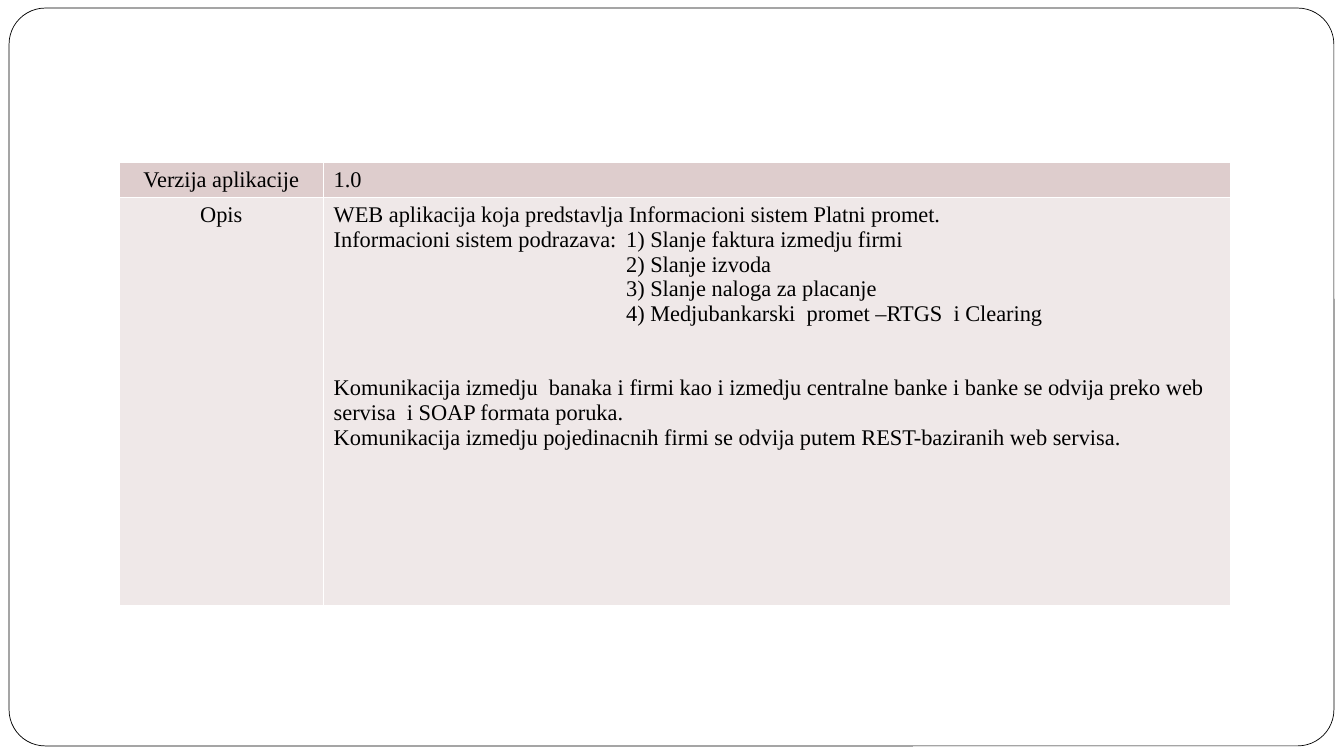
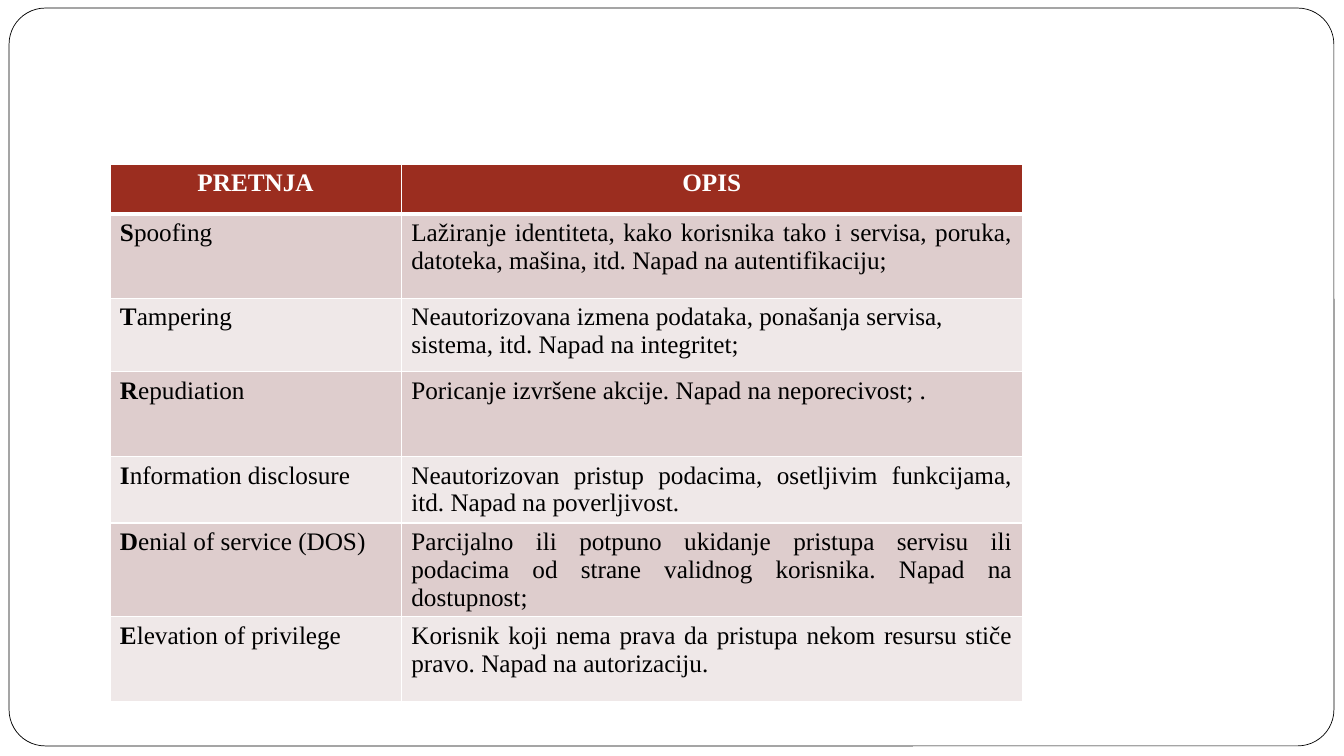
from dataclasses import dataclass, field

from lxml import etree
from pptx import Presentation, util as u
from pptx.dml.color import RGBColor
from pptx.enum import shapes, text
from pptx.oxml.ns import qn

CENTER = text.PP_ALIGN.CENTER
JUSTIFY = text.PP_ALIGN.JUSTIFY
LEFT = text.PP_ALIGN.LEFT


@dataclass(frozen=True)
class Theme:
    font: str = "Times New Roman"
    paper: str = "FFFFFF"
    ink: str = "000000"
    header: str = "9B2D1F"
    dark_band: str = "DECDCD"
    light_band: str = "EFE8E8"
    version_size: int = 16
    threat_size: int = 18
    frame_line: float = 0.5
    grid_line: float = 1
    header_line: float = 3


THEME = Theme()


@dataclass(frozen=True)
class Run:
    words: str
    bold: bool = False


@dataclass(frozen=True)
class Para:
    runs: list[Run]
    align: text.PP_ALIGN = LEFT
    indent: float = 0
    tab: float = 0
    before: float = 0


@dataclass(frozen=True)
class Grid:
    left: float
    top: float
    columns: list[float]
    heights: list[float]
    size: int
    rows: list[list[list[Para]]] = field(default_factory=list)
    has_header: bool = False


def plain(words: str, **layout) -> Para:
    return Para([Run(words)], **layout)


# Content of the application description
LIST_INDENT = 2.9
DESCRIPTION = [
    plain("WEB aplikacija koja predstavlja Informacioni sistem Platni promet."),
    plain("Informacioni sistem podrazava:\t1) Slanje faktura izmedju firmi",
          tab=LIST_INDENT),
    *(plain(item, indent=LIST_INDENT) for item in (
        "2) Slanje izvoda",
        "3) Slanje naloga za placanje",
        "4) Medjubankarski  promet –RTGS  i Clearing",
    )),
    plain("Komunikacija izmedju  banaka i firmi kao i izmedju centralne banke "
          "i banke se odvija preko web servisa  i SOAP formata poruka.", before=35),
    plain("Komunikacija izmedju pojedinacnih firmi se odvija putem "
          "REST-baziranih web servisa."),
]
VERSION = Grid(
    1.18, 1.61, [2.03, 9], [0.34, 4.05], THEME.version_size,
    [[[plain("Verzija aplikacije", align=CENTER)], [plain("1.0")]],
     [[plain("Opis", align=CENTER)], DESCRIPTION]],
)

# Content of the threat table
THREATS = [
    ("Spoofing", JUSTIFY, "Lažiranje identiteta, kako korisnika tako i servisa, "
     "poruka, datoteka, mašina, itd. Napad na autentifikaciju;"),
    ("Tampering", LEFT, "Neautorizovana izmena podataka, ponašanja servisa, "
     "sistema, itd. Napad na integritet;"),
    ("Repudiation", LEFT, "Poricanje izvršene akcije. Napad na neporecivost; ."),
    ("Information disclosure", JUSTIFY, "Neautorizovan pristup podacima, "
     "osetljivim funkcijama, itd. Napad na poverljivost."),
    ("Denial of service (DOS)", JUSTIFY, "Parcijalno ili potpuno ukidanje pristupa "
     "servisu ili podacima od strane validnog korisnika. Napad na dostupnost;"),
    ("Elevation of privilege", JUSTIFY, "Korisnik koji nema prava da pristupa "
     "nekom resursu stiče pravo. Napad na autorizaciju."),
]
STRIDE = Grid(
    1.09, 1.63, [2.89, 6.16], [0.49, 0.84, 0.73, 0.84, 0.66, 0.93, 0.84],
    THEME.threat_size,
    [[[Para([Run(heading, True)], CENTER)] for heading in ("PRETNJA", "OPIS")]]
    + [[[Para([Run(threat[0], True), Run(threat[1:])])],
        [plain(meaning, align=align)]]
       for threat, align, meaning in THREATS],
    has_header=True,
)


def rgb(code: str) -> RGBColor:
    return RGBColor.from_string(code)


def draw_frame(slide) -> None:
    """Rounded page outline shared by all slides."""
    frame = slide.shapes.add_shape(
        shapes.MSO_SHAPE.ROUNDED_RECTANGLE,
        *(u.Inches(n) for n in (0.09, 0.08, 13.14, 7.32)))
    frame.adjustments[0] = 0.049
    frame.shadow.inherit = False
    frame.fill.solid()
    frame.fill.fore_color.rgb = rgb(THEME.paper)
    frame.line.color.rgb = rgb(THEME.ink)
    frame.line.width = u.Pt(THEME.frame_line)


def draw_borders(cell, bottom: float, top: float) -> None:
    properties = cell._tc.get_or_add_tcPr()
    widths = {"lnL": THEME.grid_line, "lnR": THEME.grid_line,
              "lnT": top, "lnB": bottom}
    for side, width in widths.items():
        edge = etree.SubElement(properties, qn(f"a:{side}"), w=str(u.Pt(width)))
        paint = etree.SubElement(edge, qn("a:solidFill"))
        etree.SubElement(paint, qn("a:srgbClr"), val=THEME.paper)


def write_para(paragraph, content: Para, size: int, color: str) -> None:
    layout = {"alignment": content.align, "space_before": u.Pt(content.before)}
    for name, value in layout.items():
        setattr(paragraph, name, value)
    properties = paragraph._p.get_or_add_pPr()
    if content.indent:
        properties.set("marL", str(u.Inches(content.indent)))
    if content.tab:
        stops = etree.SubElement(properties, qn("a:tabLst"))
        etree.SubElement(stops, qn("a:tab"), pos=str(u.Inches(content.tab)), algn="l")
    for part in content.runs:
        run = paragraph.add_run()
        run.text = part.words
        style = {"name": THEME.font, "size": u.Pt(size), "bold": part.bold}
        for name, value in style.items():
            setattr(run.font, name, value)
        run.font.color.rgb = rgb(color)


def draw_grid(slide, grid: Grid) -> None:
    table = slide.shapes.add_table(
        len(grid.heights), len(grid.columns),
        u.Inches(grid.left), u.Inches(grid.top),
        u.Inches(sum(grid.columns)), u.Inches(sum(grid.heights))).table
    table.first_row = grid.has_header
    table.horz_banding = False
    for column, width in zip(table.columns, grid.columns):
        column.width = u.Inches(width)
    for row, height in zip(table.rows, grid.heights):
        row.height = u.Inches(height)

    bands = [THEME.dark_band, THEME.light_band]
    for r, row in enumerate(grid.rows):
        is_header = grid.has_header and r == 0
        below_header = grid.has_header and r == 1
        band = THEME.header if is_header else bands[(r - grid.has_header) % 2]
        color = THEME.paper if is_header else THEME.ink
        for c, paras in enumerate(row):
            cell = table.cell(r, c)
            draw_borders(
                cell,
                bottom=THEME.header_line if is_header else THEME.grid_line,
                top=THEME.header_line if below_header else THEME.grid_line)
            cell.fill.solid()
            cell.fill.fore_color.rgb = rgb(band)
            frame = cell.text_frame
            for i, content in enumerate(paras):
                paragraph = frame.add_paragraph() if i else frame.paragraphs[0]
                write_para(paragraph, content, grid.size, color)


def main() -> None:
    deck = Presentation()
    deck.slide_width, deck.slide_height = u.Inches(13.33), u.Inches(7.5)
    blank = deck.slide_layouts[6]
    for grid in (VERSION, STRIDE):
        slide = deck.slides.add_slide(blank)
        draw_frame(slide)
        draw_grid(slide, grid)
    deck.save("out.pptx")


if __name__ == "__main__":
    main()
